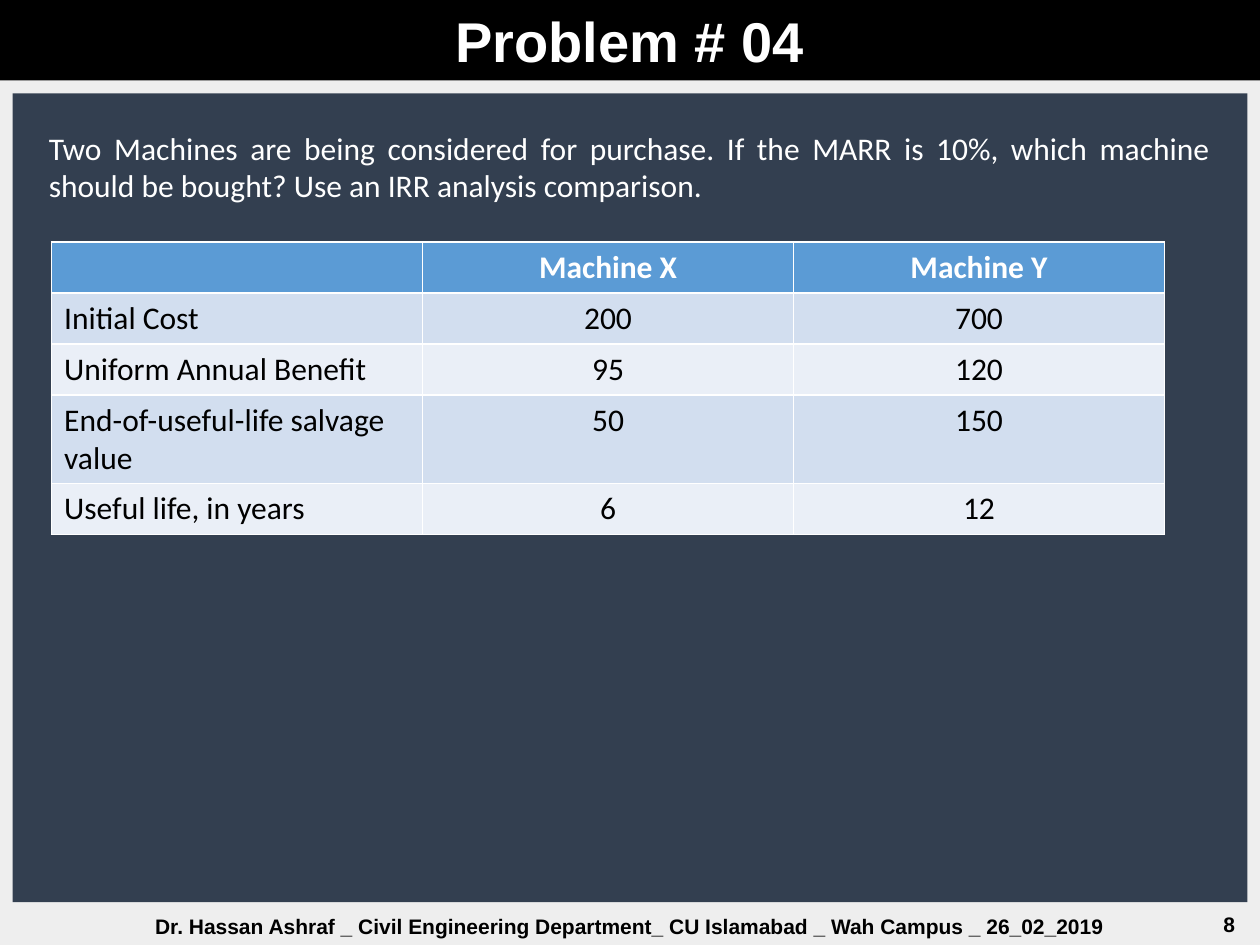
"""Build the Problem # 04 slide comparing two machines."""
from pptx import Presentation
from pptx.dml.color import RGBColor
from pptx.enum.shapes import MSO_SHAPE
from pptx.enum.text import MSO_ANCHOR, PP_ALIGN
from pptx.util import Pt

RECT = MSO_SHAPE.RECTANGLE
TOP, MIDDLE = MSO_ANCHOR.TOP, MSO_ANCHOR.MIDDLE
LEFT, CENTER, RIGHT, JUSTIFY = PP_ALIGN.LEFT, PP_ALIGN.CENTER, PP_ALIGN.RIGHT, PP_ALIGN.JUSTIFY

TITLE = "Problem # 04"
QUESTION = ("Two Machines are being considered for purchase. If the MARR is 10%, "
            "which machine should be bought? Use an IRR analysis comparison.")
FOOTER = "Dr. Hassan Ashraf _ Civil Engineering Department_ CU Islamabad _ Wah Campus _ 26_02_2019"
NUMBER = "8"
ROWS = [
    ("", "Machine X", "Machine Y"),
    ("Initial Cost", "200", "700"),
    ("Uniform Annual Benefit", "95", "120"),
    ("End-of-useful-life salvage value", "50", "150"),
    ("Useful life, in years", "6", "12"),
]
HEADER_FILL = "5B9BD5"
BAND_FILLS = ("EAEFF7", "D2DEEF")
COL_W, ROW_H = 212, 29.2


def rgb(value):
    return RGBColor.from_string(value)


def paint(shape, color):
    shape.fill.solid()
    shape.fill.fore_color.rgb = rgb(color)


def write(tf, text, size, font, color, align, bold=False):
    tf.text = text
    p = tf.paragraphs[0]
    p.alignment = align
    p.font.size = Pt(size)
    for r in p.runs:
        r.font.size, r.font.name, r.font.bold = Pt(size), font, bold
        r.font.color.rgb = rgb(color)


def place(shape, box):
    shape.left, shape.top, shape.width, shape.height = map(Pt, box)


def add_text(s, box, anchor, *style):
    tf = s.shapes.add_textbox(*map(Pt, box)).text_frame
    tf.word_wrap = True
    tf.vertical_anchor = anchor
    write(tf, *style)


def add_machines(s):
    frame = s.shapes.add_table(len(ROWS), len(ROWS[0]), Pt(29.5), Pt(138.2),
                               Pt(COL_W * len(ROWS[0])), Pt(ROW_H * len(ROWS)))
    for i, row in enumerate(ROWS):
        header = i == 0
        for j, text in enumerate(row):
            cell = frame.table.cell(i, j)
            paint(cell, HEADER_FILL if header else BAND_FILLS[i % 2])
            write(cell.text_frame, text, 18, "Calibri", "FFFFFF" if header else "000000",
                  CENTER if j else LEFT, header)


def main():
    prs = Presentation()
    prs.slide_width, prs.slide_height = Pt(720), Pt(540)
    s = prs.slides.add_slide(prs.slide_layouts[5])

    bg = s.background.fill
    bg.gradient()
    bg.gradient_angle = 0
    for stop, color in zip(bg.gradient_stops, ("EEEEEE", "F0F0F0")):
        stop.color.rgb = rgb(color)

    panel = s.shapes.add_shape(RECT, *map(Pt, (7.2, 53.3, 705.6, 462.2)))
    panel.shadow.inherit = False
    panel.line.fill.background()
    paint(panel, "333F50")

    title = s.shapes.title
    place(title, (0, 0, 720, 46))
    paint(title, "000000")
    title.text_frame.vertical_anchor = MIDDLE
    write(title.text_frame, TITLE, 32, "Arial", "FFFFFF", CENTER, True)

    add_text(s, (550.8, 513.4, 162, 28.8), MIDDLE, NUMBER, 12, "Arial", "000000", RIGHT, True)
    add_text(s, (7.2, 514.8, 705.6, 28.8), MIDDLE, FOOTER, 12, "Arial", "000000", CENTER, True)
    add_text(s, (20.8, 70, 678, 51), TOP, QUESTION, 18, "Calibri", "FFFFFF", JUSTIFY)
    add_machines(s)
    prs.save("out.pptx")


if __name__ == "__main__":
    main()
